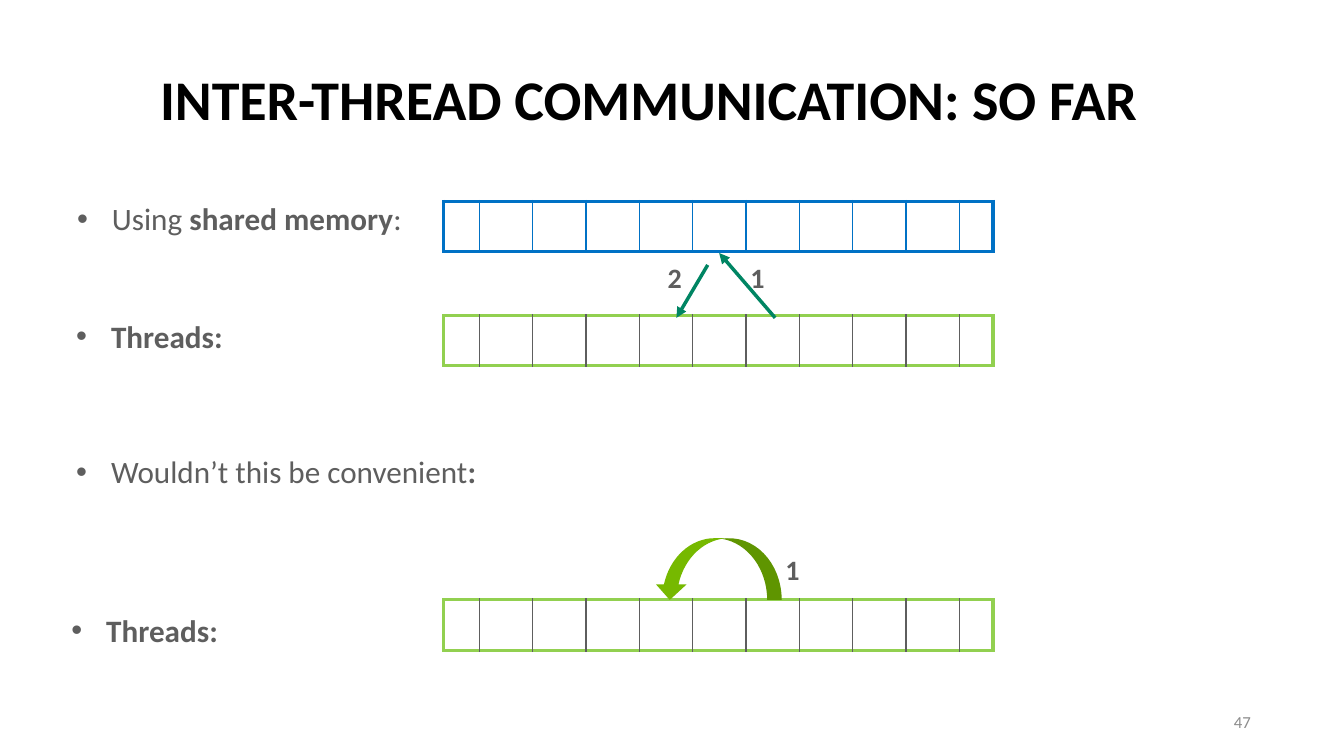
import math

import lxml.etree
import pptx
import pptx.dml.color
import pptx.enum.shapes
import pptx.enum.text
import pptx.oxml
import pptx.oxml.ns
import pptx.util

Cm = pptx.util.Cm
Pt = pptx.util.Pt
qn = pptx.oxml.ns.qn
ALIGN = pptx.enum.text.PP_ALIGN
ANCHOR = pptx.enum.text.MSO_ANCHOR

COLORS = {
    "title": "000000",
    "text": "5E5E5E",
    "number": "8C8C8C",
    "memory": "0071C5",
    "threads": "92D050",
    "arrow": "008563",
    "curve_light": "76B900",
    "curve_dark": "5F9500",
}

# Memory and thread strips
STRIP_LEFT, STRIP_HEIGHT = 10.06, 1.14
COLUMN_WIDTHS = [0.81] + [1.21] * 9 + [0.76]
MEMORY_TOP, THREADS_TOP, MESSAGE_TOP = 4.57, 7.16, 13.61

# Curved arrow: two overlapping half ellipses standing on the last strip
CURVE_INNER_X, CURVE_OUTER_X = 16.21, 16.54
RADIUS_X, RADIUS_Y = 1.19, 1.4


def rgb(name):
    return pptx.dml.color.RGBColor.from_string(COLORS[name])


def format_text(shape, runs, size, color, align=ALIGN.LEFT, anchor=ANCHOR.TOP, space=1):
    """Write (text, bold) runs as one paragraph and return the paragraph."""
    frame = shape.text_frame
    frame.word_wrap = True
    frame.auto_size = pptx.enum.text.MSO_AUTO_SIZE.NONE
    frame.vertical_anchor = anchor
    frame.margin_left = frame.margin_right = frame.margin_bottom = 0
    frame.margin_top = Cm(0.03)
    paragraph = frame.paragraphs[0]
    paragraph.alignment = align
    paragraph.space_before = Pt(space)
    for text, bold in runs:
        run = paragraph.add_run()
        run.text = text
        run.font.name = "Calibri"
        run.font.size = Pt(size)
        run.font.bold = bold
        run.font.color.rgb = rgb(color)
    return paragraph


def add_title(slide, text):
    title = slide.shapes.title
    title.left, title.top, title.width, title.height = Cm(3.63), Cm(1.4), Cm(23.29), Cm(1.6)
    format_text(title, [(text, True)], 36, "title", anchor=ANCHOR.MIDDLE)


def add_bullet(slide, left, top, width, runs):
    box = slide.shapes.add_textbox(Cm(left), Cm(top), Cm(width), Cm(0.9))
    properties = format_text(box, runs, 20, "text")._p.get_or_add_pPr()
    properties.set("marL", str(Cm(0.84)))
    properties.set("indent", str(Cm(-0.79)))
    lxml.etree.SubElement(properties, qn("a:buFont")).set("typeface", "Arial")
    lxml.etree.SubElement(properties, qn("a:buChar")).set("char", "•")


def add_step(slide, left, top, number):
    box = slide.shapes.add_textbox(Cm(left), Cm(top), Cm(0.43), Cm(0.84))
    format_text(box, [(number, True)], 18, "text")


def set_border(cell, position, side, width, color):
    line = lxml.etree.Element(qn(f"a:ln{side}"), w=str(Pt(width)))
    fill = lxml.etree.SubElement(line, qn("a:solidFill"))
    lxml.etree.SubElement(fill, qn("a:srgbClr")).set("val", COLORS[color])
    cell._tc.get_or_add_tcPr().insert(position, line)


def add_strip(slide, top, outer, inner):
    """Add a one-row table with a heavy outline and thin dividers."""
    last = len(COLUMN_WIDTHS) - 1
    table = slide.shapes.add_table(1, last + 1, Cm(STRIP_LEFT), Cm(top),
                                   Cm(sum(COLUMN_WIDTHS)), Cm(STRIP_HEIGHT)).table
    table.first_row = table.horz_banding = False
    for index, width in enumerate(COLUMN_WIDTHS):
        table.columns[index].width = Cm(width)
        cell = table.cell(0, index)
        cell.fill.background()
        outside = {"L": index == 0, "R": index == last, "T": True, "B": True}
        for position, (side, heavy) in enumerate(outside.items()):
            set_border(cell, position, side, 2.25 if heavy else 1, outer if heavy else inner)


def add_arrow(slide, start, end):
    connector = slide.shapes.add_connector(
        pptx.enum.shapes.MSO_CONNECTOR.STRAIGHT, *map(Cm, start + end))
    connector.line.width = Pt(2.25)
    connector.line.color.rgb = rgb("arrow")
    line = connector.line._get_or_add_ln()
    lxml.etree.SubElement(line, qn("a:tailEnd")).set("type", "triangle")
    lxml.etree.SubElement(connector._element.spPr, qn("a:effectLst"))


def arc(center_x, start, end, steps=16):
    """Points on an ellipse above the last strip, angles in degrees."""
    angles = [math.radians(start + (end - start) * i / steps) for i in range(steps + 1)]
    return [(center_x + RADIUS_X * math.cos(angle), MESSAGE_TOP - RADIUS_Y * math.sin(angle))
            for angle in angles]


def add_outline(slide, points, color):
    points = [(Cm(x), Cm(y)) for x, y in points]
    builder = slide.shapes.build_freeform(*points[0], scale=1.0)
    builder.add_line_segments(points[1:], close=True)
    shape = builder.convert_to_shape()
    shape.shadow.inherit = False
    shape.fill.solid()
    shape.fill.fore_color.rgb = rgb(color)
    shape.line.fill.background()


def add_curved_arrow(slide):
    head = [(14.88, 13.26), (15.19, MESSAGE_TOP), (15.57, 13.26)]
    add_outline(slide, arc(CURVE_INNER_X, 90, 165.5) + head + arc(CURVE_OUTER_X, 165.5, 90),
                "curve_light")
    add_outline(slide, arc(CURVE_OUTER_X, 98, 0) + arc(CURVE_INNER_X, 0, 82), "curve_dark")


def main():
    presentation = pptx.Presentation()
    presentation.slide_width, presentation.slide_height = Cm(30.48), Cm(17.15)
    slide = presentation.slides.add_slide(presentation.slide_layouts[5])

    # Title and page number
    add_title(slide, "INTER-THREAD COMMUNICATION: SO FAR")
    number = slide.shapes.add_textbox(Cm(21.51), Cm(15.9), Cm(6.86), Cm(0.91))
    format_text(number, [("47", False)], 10.8, "number", ALIGN.RIGHT, ANCHOR.MIDDLE, 0.6)

    # Bullets
    add_bullet(slide, 1.7, 4.5, 7.72, [("Using ", False), ("shared memory", True), (":", False)])
    add_bullet(slide, 1.68, 7.16, 8, [("Threads:", True)])
    add_bullet(slide, 1.68, 10.24, 9.75, [("Wouldn’t this be convenient", False), (":", True)])
    add_bullet(slide, 1.57, 13.84, 4.04, [("Threads:", True)])

    # Strips
    add_strip(slide, MEMORY_TOP, "memory", "memory")
    add_strip(slide, THREADS_TOP, "threads", "text")
    add_strip(slide, MESSAGE_TOP, "threads", "text")

    # Exchange through shared memory, then directly between threads
    add_arrow(slide, (17.58, 7.21), (16.31, 5.74))
    add_arrow(slide, (16.05, 6.01), (15.34, 7.21))
    add_curved_arrow(slide)
    add_step(slide, 15.14, 5.89, "2")
    add_step(slide, 17.02, 5.89, "1")
    add_step(slide, 17.81, 12.5, "1")

    presentation.save("out.pptx")


if __name__ == "__main__":
    main()
